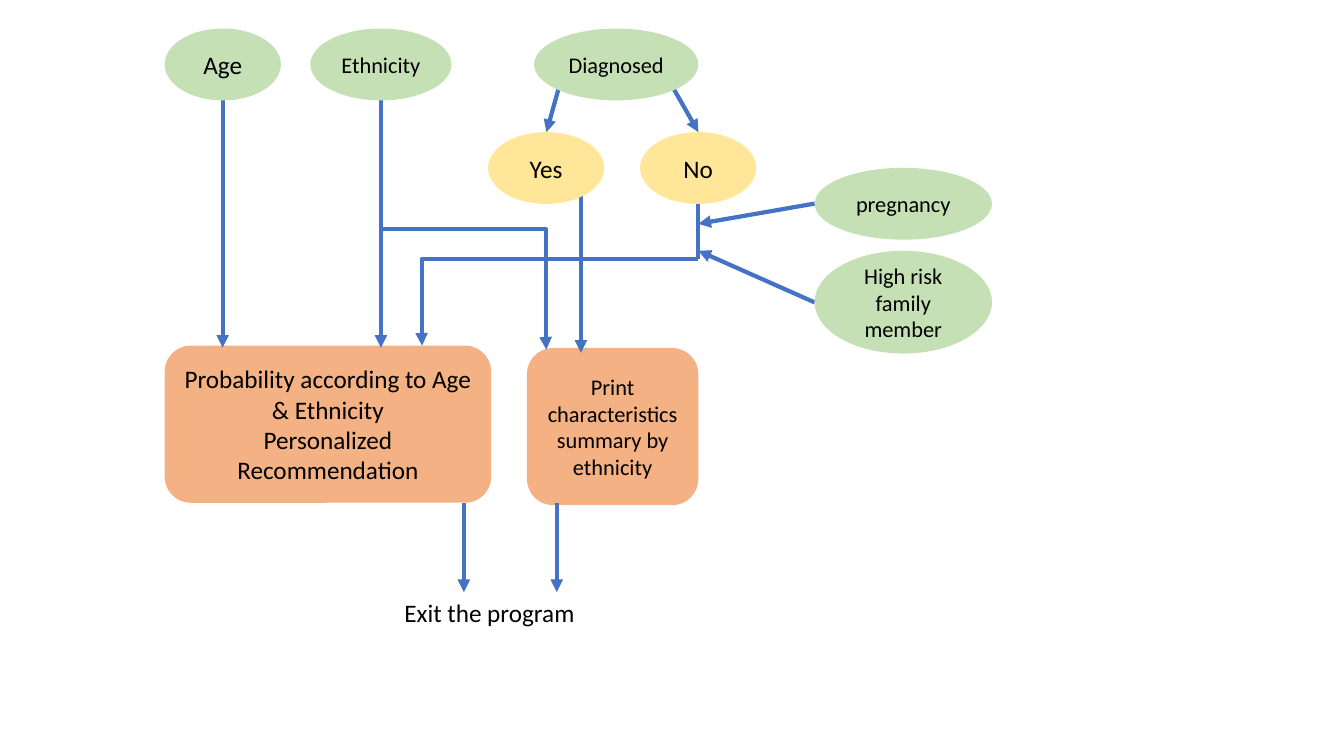
from lxml import etree
from pptx import Presentation
from pptx.dml.color import RGBColor
from pptx.enum.shapes import MSO_CONNECTOR, MSO_SHAPE
from pptx.enum.text import MSO_ANCHOR, PP_ALIGN
from pptx.oxml.ns import qn
from pptx.util import Cm, Pt

OVAL = MSO_SHAPE.OVAL
ROUNDED = MSO_SHAPE.ROUNDED_RECTANGLE
STRAIGHT = MSO_CONNECTOR.STRAIGHT
ELBOW = MSO_CONNECTOR.ELBOW
MIDDLE = MSO_ANCHOR.MIDDLE
CENTER = PP_ALIGN.CENTER

GREEN, YELLOW, ORANGE = "C5E0B4", "FFE699", "F4B183"
BLUE, BLACK = "4472C4", "000000"


def color(hex_string):
    """Turn a hex string into a colour."""
    return RGBColor.from_string(hex_string)


def write(paragraph, text, size):
    """Add one run of black Calibri to a paragraph."""
    run = paragraph.add_run()
    run.text = text
    run.font.name = "Calibri"
    run.font.size = Pt(size)
    run.font.color.rgb = color(BLACK)


presentation = Presentation()
presentation.slide_width = Cm(33.87)
presentation.slide_height = Cm(19.05)
slide = presentation.slides.add_slide(presentation.slide_layouts[6])

# Rows and columns shared by nodes and arrows
input_top, answer_top, box_top = 0.72, 3.33, 8.71
oval_width, oval_height, box_height = 2.93, 1.81, 3.96
input_bottom = input_top + oval_height
age_x, ethnicity_x, no_x = 5.61, 9.6, 17.6
risk_left, risk_width = 20.53, 4.47
branch_y, exit_top = 6.52, 14.92

# Shape, left, top, width, height, fill, text size, paragraphs
boxes = [
    (ROUNDED, 4.15, box_top, 8.23, box_height, ORANGE, 18,
     ["Probability according to Age & Ethnicity", "Personalized Recommendation"]),
    (ROUNDED, 13.28, 8.77, 4.32, box_height, ORANGE, 16,
     ["Print characteristics", "summary by ethnicity"]),
]
ovals = [
    (OVAL, 4.15, input_top, oval_width, oval_height, GREEN, 18, ["Age"]),
    (OVAL, 7.82, input_top, 3.56, oval_height, GREEN, 16, ["Ethnicity"]),
    (OVAL, 13.46, input_top, 4.14, oval_height, GREEN, 16, ["Diagnosed"]),
    (OVAL, 12.3, answer_top, oval_width, oval_height, YELLOW, 18, ["Yes"]),
    (OVAL, 16.13, answer_top, oval_width, oval_height, YELLOW, 18, ["No"]),
    (OVAL, risk_left, 4.23, risk_width, oval_height, GREEN, 16, ["pregnancy"]),
    (OVAL, risk_left, 6.32, risk_width, 2.59, GREEN, 16, ["High risk family member"]),
]

# Begin x, begin y, end x, end y, has arrowhead, bend (None when straight)
arrows = [
    (age_x, input_bottom, age_x, 8.76, True, None),
    (ethnicity_x, input_bottom, ethnicity_x, 8.76, True, None),
    (14.07, 2.26, 13.77, answer_top, True, None),
    (16.99, 2.26, no_x, answer_top, True, None),
    (14.64, 4.6, 14.64, 8.89, True, None),
    (no_x, 5.13, no_x, branch_y, False, None),
    (no_x, branch_y, 10.64, box_top, True, 100200),
    (risk_left, 5.13, no_x, 5.64, True, None),
    (risk_left, 7.62, no_x, 6.32, True, None),
    (ethnicity_x, 5.77, 13.77, 8.81, True, 99600),
    (11.69, 12.67, 11.69, exit_top, True, None),
    (14.03, 12.67, 14.03, exit_top, True, None),
]

for kind, left, top, width, height, fill, size, lines in boxes + ovals:
    shape = slide.shapes.add_shape(kind, Cm(left), Cm(top), Cm(width), Cm(height))
    shape.shadow.inherit = False
    shape.fill.solid()
    shape.fill.fore_color.rgb = color(fill)
    shape.line.fill.background()
    frame = shape.text_frame
    frame.word_wrap = True
    frame.vertical_anchor = MIDDLE
    for index, line in enumerate(lines):
        paragraph = frame.add_paragraph() if index else frame.paragraphs[0]
        paragraph.alignment = CENTER
        write(paragraph, line, size)

first_oval = slide.shapes[len(boxes)]
for begin_x, begin_y, end_x, end_y, has_head, bend in arrows:
    connector = slide.shapes.add_connector(
        ELBOW if bend else STRAIGHT, Cm(begin_x), Cm(begin_y), Cm(end_x), Cm(end_y))
    connector.line.color.rgb = color(BLUE)
    connector.line.width = Pt(3)
    properties = connector._element.spPr
    if has_head:
        etree.SubElement(properties.find(qn("a:ln")), qn("a:tailEnd"), type="triangle")
    if bend:
        guides = properties.find(qn("a:prstGeom")).find(qn("a:avLst"))
        etree.SubElement(guides, qn("a:gd"), name="adj1", fmla=f"val {bend}")
    etree.SubElement(properties, qn("a:effectLst"))
    # Arrows lie over the boxes but under the ovals
    first_oval._element.addprevious(connector._element)

exit_label = slide.shapes.add_textbox(Cm(9.94), Cm(exit_top), Cm(4.85), Cm(1.02))
exit_label.text_frame.word_wrap = False
write(exit_label.text_frame.paragraphs[0], "Exit the program", 18)

presentation.save("out.pptx")
